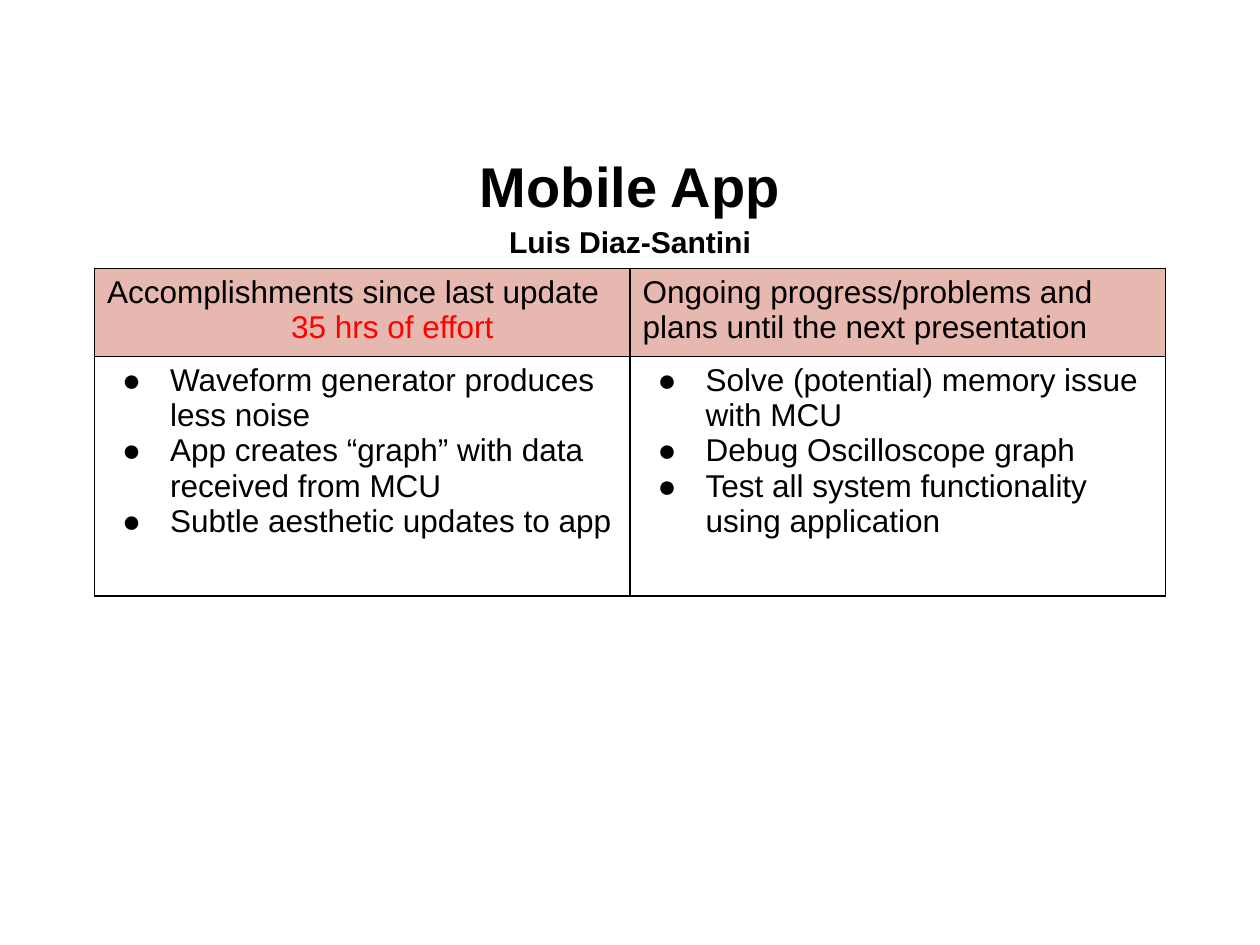
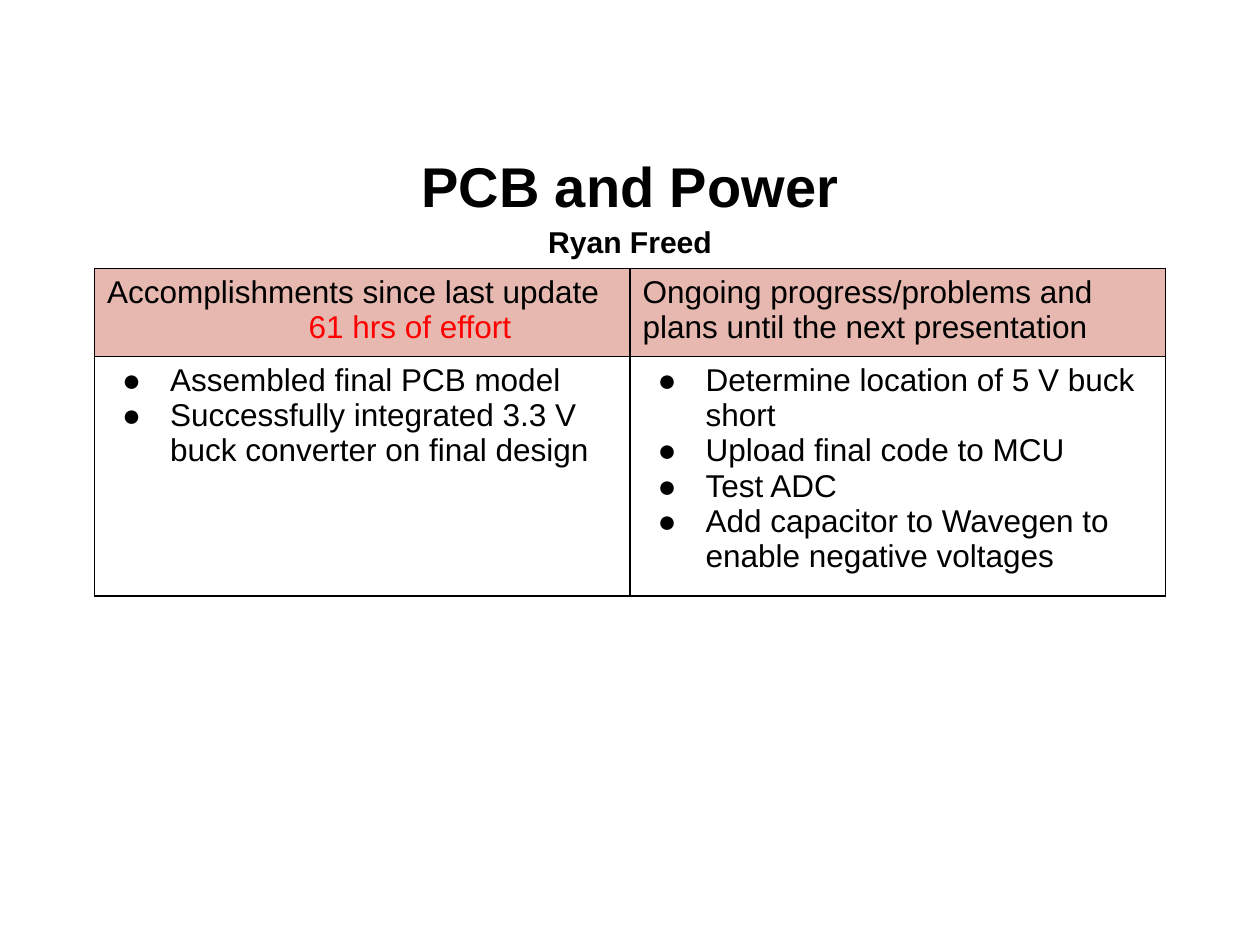
import pptx
import pptx.dml.color
import pptx.enum.text
import pptx.oxml
import pptx.oxml.ns
import pptx.util

PX = 9144  # EMU per px, 100 px to the inch
FONT = "Arial"
BLACK, RED, HEADER_FILL = "000000", "FF0000", "E6B8AF"
TITLE_BOX = (50, 115, 900, 88)
TABLE_BOX = (75, 213, 850, 260)
HEADER_HEIGHT = 70
BULLET_INDENT, BULLET_HANG = 50, 38
DONE_HEADING = "Accomplishments since last update"
PLANS_HEADING = "Ongoing progress/problems and plans until the next presentation"

UPDATES = [
    {
        "topic": "Mobile App",
        "presenter": "Luis Diaz-Santini",
        "effort": "35 hrs of effort",
        "effort_indent": 146,
        "done": [
            "Waveform generator produces less noise",
            "App creates “graph” with data received from MCU",
            "Subtle aesthetic updates to app",
        ],
        "plans": [
            "Solve (potential) memory issue with MCU",
            "Debug Oscilloscope graph",
            "Test all system functionality using application",
        ],
    },
    {
        "topic": "PCB and Power",
        "presenter": "Ryan Freed",
        "effort": "61 hrs of effort",
        "effort_indent": 160,
        "done": [
            "Assembled final PCB model",
            "Successfully integrated 3.3 V buck converter on final design",
        ],
        "plans": [
            "Determine location of 5 V buck short",
            "Upload final code to MCU",
            "Test ADC",
            "Add capacitor to Wavegen to enable negative voltages",
        ],
    },
]


def emu(px):
    return pptx.util.Emu(px * PX)


def rgb(color):
    return pptx.dml.color.RGBColor.from_string(color)


def xml(tag, content="", **attributes):
    listed = "".join(f' {key}="{value}"' for key, value in attributes.items())
    namespace = pptx.oxml.ns.nsdecls("a")
    return pptx.oxml.parse_xml(f"<a:{tag} {namespace}{listed}>{content}</a:{tag}>")


def write(frame, text, size=18, color=BLACK, bold=False, align="LEFT",
          spacing=None, indent=0, bullet=False):
    """Fill the frame's empty first paragraph, or add one after the others."""
    paragraph = frame.paragraphs[0] if not frame.text else frame.add_paragraph()
    properties = paragraph._p.get_or_add_pPr()
    properties.set("marL", str(emu(indent)))
    properties.set("indent", str(-emu(BULLET_HANG) if bullet else 0))
    if bullet:
        properties.append(xml("buClr", f'<a:srgbClr val="{color}"/>'))
        properties.append(xml("buFont", typeface=FONT))
        properties.append(xml("buChar", char="●"))
    paragraph.alignment = getattr(pptx.enum.text.PP_ALIGN, align)
    paragraph.line_spacing = spacing
    run = paragraph.add_run()
    run.text = text
    run.font.name = FONT
    run.font.size = pptx.util.Pt(size)
    run.font.bold = bold
    run.font.color.rgb = rgb(color)


def add_title(slide, box, topic, presenter):
    title = slide.shapes.title
    title.left, title.top, title.width, title.height = map(emu, box)
    frame = title.text_frame
    frame.word_wrap = True
    frame.auto_size = pptx.enum.text.MSO_AUTO_SIZE.NONE
    frame.vertical_anchor = pptx.enum.text.MSO_ANCHOR.MIDDLE
    for text, size in ((topic, 32), (presenter, 17.2)):
        write(frame, text, size=size, bold=True, align="CENTER", spacing=1.15)


def style_cell(cell, fill=None):
    properties = cell._tc.get_or_add_tcPr()
    line = f'<a:solidFill><a:srgbClr val="{BLACK}"/></a:solidFill>'
    for side in "LRTB":
        properties.append(xml(f"ln{side}", line, w=pptx.util.Pt(1)))
    if fill:
        cell.fill.solid()
        cell.fill.fore_color.rgb = rgb(fill)
    else:
        cell.fill.background()


def add_progress_table(slide, box, effort, effort_indent, done, plans):
    table = slide.shapes.add_table(2, 2, *map(emu, box)).table
    table.first_row = table.horz_banding = False
    table.rows[0].height = emu(HEADER_HEIGHT)
    table.rows[1].height = emu(box[3] - HEADER_HEIGHT)
    columns = ((DONE_HEADING, done), (PLANS_HEADING, plans))
    for column, (heading, items) in enumerate(columns):
        header, body = table.cell(0, column), table.cell(1, column)
        style_cell(header, HEADER_FILL)
        style_cell(body)
        write(header.text_frame, heading)
        for item in items:
            write(body.text_frame, item, indent=BULLET_INDENT, bullet=True)
    write(table.cell(0, 0).text_frame, effort, color=RED, indent=effort_indent)


def add_update_slide(deck, topic, presenter, **progress):
    slide = deck.slides.add_slide(deck.slide_layouts.get_by_name("Title Only"))
    add_title(slide, TITLE_BOX, topic, presenter)
    add_progress_table(slide, TABLE_BOX, **progress)


def main():
    deck = pptx.Presentation()
    deck.slide_width, deck.slide_height = emu(1000), emu(750)
    for update in UPDATES:
        add_update_slide(deck, **update)
    deck.save("out.pptx")


if __name__ == "__main__":
    main()
